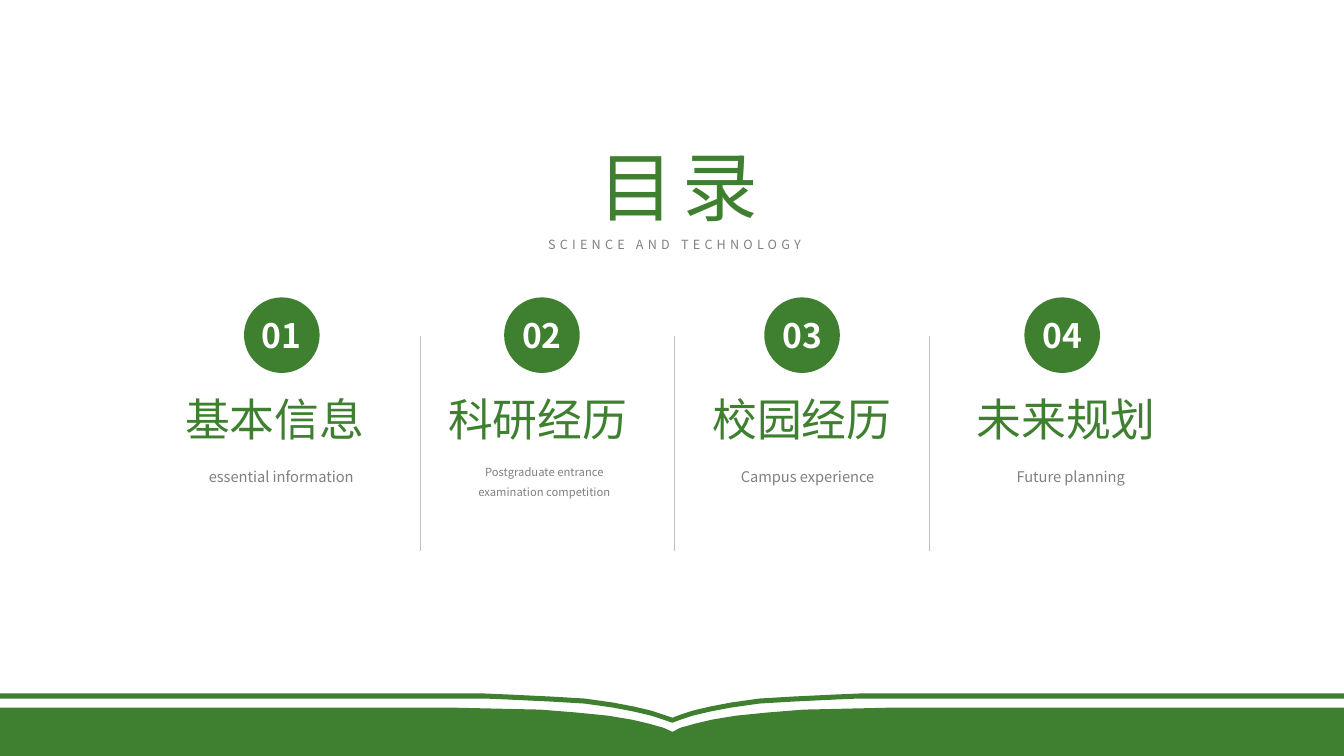
from lxml import etree
from pptx import Presentation
from pptx.dml.color import RGBColor
from pptx.enum import shapes, text
from pptx.oxml.ns import qn
from pptx.util import Emu, Pt

PX = 9144  # 100 px to the inch
GREEN = RGBColor(0x3F, 0x80, 0x30)
GRAY = RGBColor(0x80, 0x80, 0x80)
LIGHT_GRAY = RGBColor(0xBF, 0xBF, 0xBF)
WHITE = RGBColor(0xFF, 0xFF, 0xFF)
FONT = "Noto Sans CJK SC"
WIDTH, HEIGHT = 1333, 750


def px(*lengths):
    return [Emu(length * PX) for length in lengths]


def write(shape, words, size, color, bold=False, spacing=0, inset=None):
    """Fill a shape with one centred paragraph; spacing is in points."""
    frame = shape.text_frame
    frame.word_wrap = True
    frame.auto_size = text.MSO_AUTO_SIZE.NONE
    if inset is not None:
        frame.margin_left = frame.margin_right = inset
        frame.margin_top = frame.margin_bottom = inset
    frame.text = words
    paragraph = frame.paragraphs[0]
    paragraph.alignment = text.PP_ALIGN.CENTER
    font = paragraph.font
    font.name, font.size, font.bold = FONT, Pt(size), bold
    font.color.rgb = color
    properties = paragraph._p.pPr.find(qn("a:defRPr"))
    etree.SubElement(properties, qn("a:ea")).set("typeface", FONT)
    if spacing:
        properties.set("spc", str(spacing * 100))
    return paragraph


presentation = Presentation()
presentation.slide_width, presentation.slide_height = px(WIDTH, HEIGHT)
slide = presentation.slides.add_slide(presentation.slide_layouts[5])

# Open book along the bottom: left halves of the page edges, mirrored at the spine
page_edge = [(0, 688), (481, 688), (504, 689), (546, 691), (580, 693), (608, 697),
             (629, 701), (646, 705), (658, 709), (667, 712)]
cover_edge = [(0, 702), (449, 702), (492, 703), (536, 704), (573, 707), (603, 710),
              (627, 714), (644, 718), (658, 722), (667, 726)]
page_top, cover_top = [
    edge + [(WIDTH - x, y) for x, y in reversed(edge[:-1])]
    for edge in (page_edge, cover_edge)
]
page_bottom = [(x, y + 5) for x, y in reversed(page_top)]
for outline in (page_top + page_bottom, cover_top + [(WIDTH, HEIGHT), (0, HEIGHT)]):
    builder = slide.shapes.build_freeform(*outline[0], scale=PX)
    builder.add_line_segments(outline[1:], close=True)
    book = builder.convert_to_shape()
    book.shadow.inherit = False
    book.fill.solid()
    book.fill.fore_color.rgb = GREEN
    book.line.fill.background()

# Heading
subtitle = slide.shapes.add_textbox(*px(524, 230, 290, 25))
write(subtitle, "SCIENCE AND TECHNOLOGY", 9, GRAY, spacing=3)
title = slide.shapes.title
title.left, title.top, title.width, title.height = px(577, 134, 192, 101)
write(title, "目录", 54, GREEN, spacing=6)
title.text_frame.vertical_anchor = text.MSO_ANCHOR.TOP

# Four sections
sections = [
    ("基本信息", "essential information", 10.5),
    ("科研经历", "Postgraduate entrance examination competition", 8),
    ("校园经历", "Campus experience", 10.5),
    ("未来规划", "Future planning", 10.5),
]
for index, (name, caption, caption_size) in enumerate(sections):
    circle = slide.shapes.add_shape(
        shapes.MSO_SHAPE.OVAL, *px(242 + 258 * index, 295, 75, 75))
    circle.shadow.inherit = False
    circle.fill.solid()
    circle.fill.fore_color.rgb = GREEN
    circle.line.fill.background()
    write(circle, f"{index + 1:02}", 24, WHITE, bold=True, inset=0)
    circle.text_frame.vertical_anchor = text.MSO_ANCHOR.MIDDLE

    name_box = slide.shapes.add_textbox(*px(157 + 785 * index // 3, 384, 231, 64))
    write(name_box, name, 32, GREEN)

    caption_box = slide.shapes.add_textbox(*px(197 + 261 * index, 455, 164, 40))
    write(caption_box, caption, caption_size, GRAY, inset=0).line_spacing = 1.5

# Dividers between the sections
for index in range(len(sections) - 1):
    x = 417 + 505 * index // 2
    divider = slide.shapes.add_connector(
        shapes.MSO_CONNECTOR.STRAIGHT, *px(x, 333, x, 547))
    divider.line.color.rgb = LIGHT_GRAY
    divider.line.width = Pt(0.5)
    etree.SubElement(divider._element.spPr, qn("a:effectLst"))

presentation.save("out.pptx")
